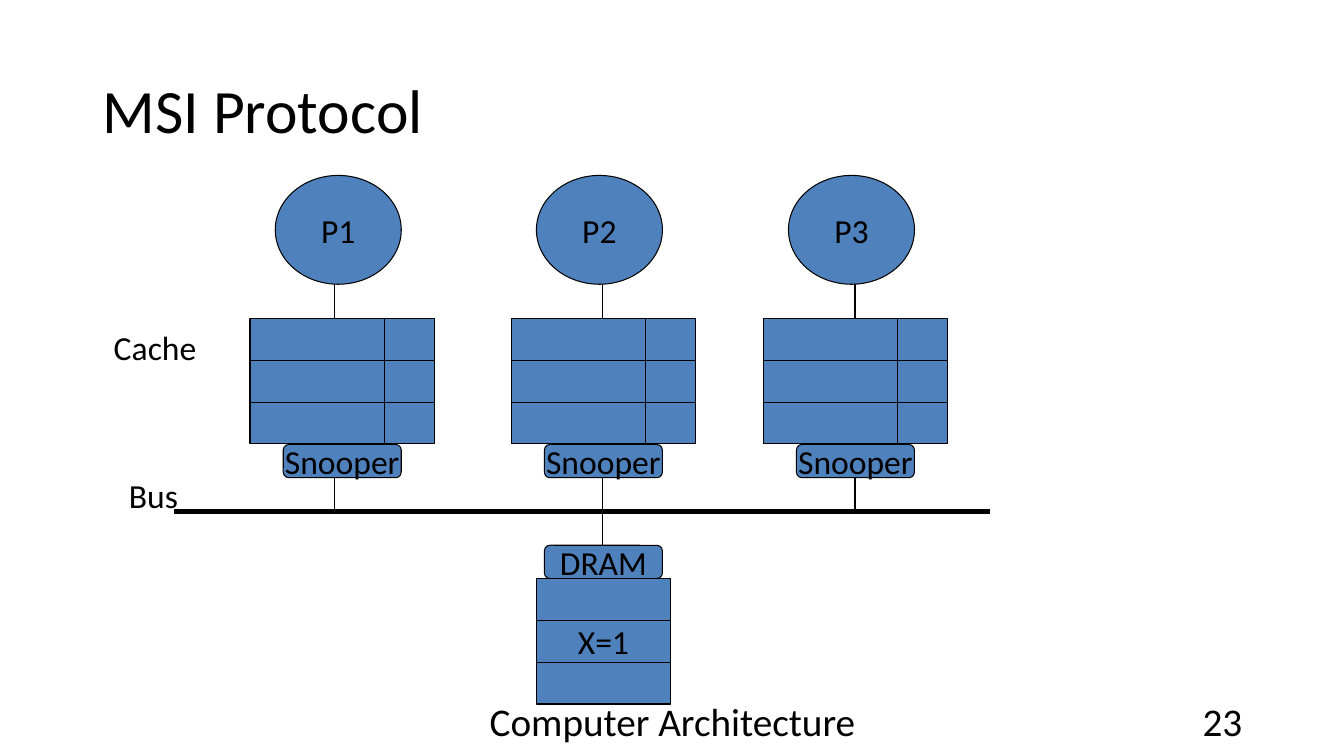
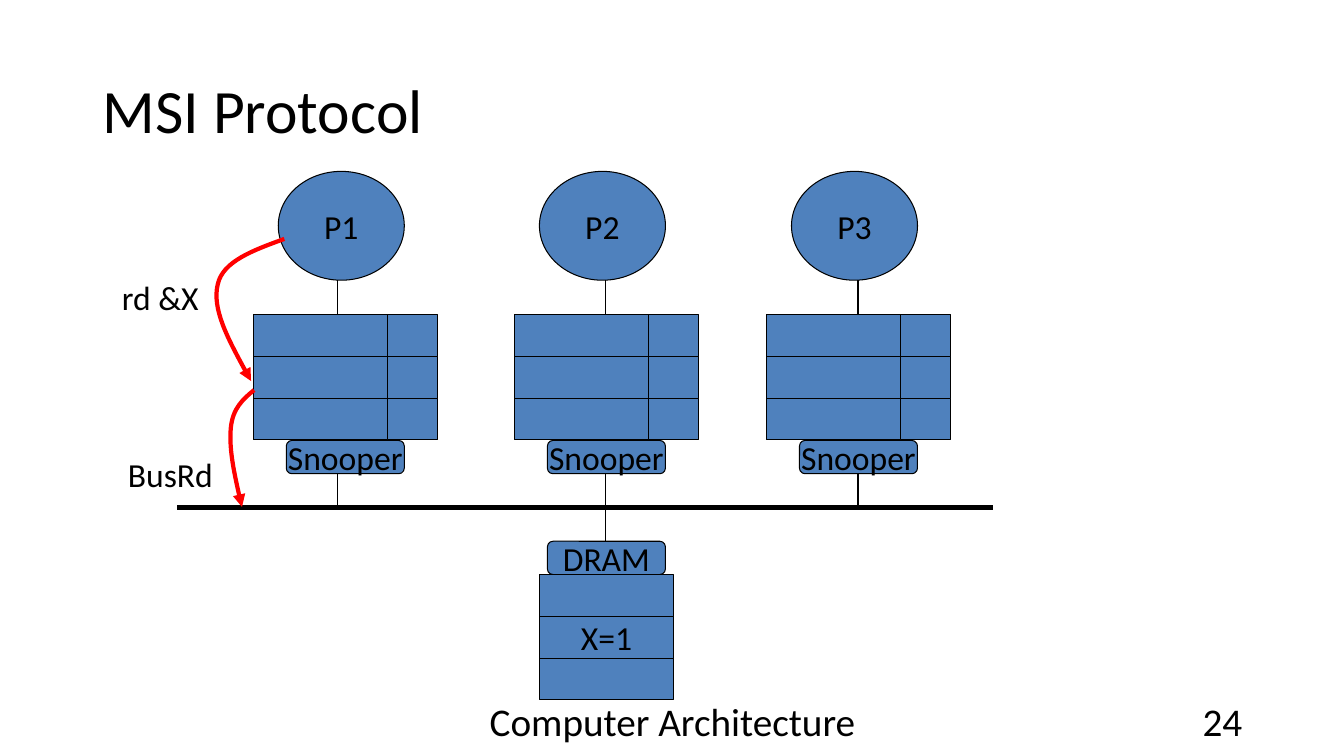
"""Build two slides on the MSI cache coherence protocol."""
from dataclasses import dataclass

from pptx import Presentation
from pptx.dml.color import RGBColor
from pptx.enum.shapes import MSO_CONNECTOR, MSO_SHAPE as Preset
from pptx.enum.text import MSO_ANCHOR as Anchor, MSO_AUTO_SIZE as AutoSize, PP_ALIGN as Align
from pptx.oxml.ns import qn
from pptx.util import Inches, Pt
from lxml.etree import SubElement


@dataclass(frozen=True)
class Theme:
    font: str = "Calibri"
    ink: RGBColor = RGBColor(0, 0, 0)
    block: RGBColor = RGBColor(0x4F, 0x81, 0xBD)
    signal: RGBColor = RGBColor(0xFF, 0, 0)
    title_size: int = 44
    footer_size: int = 28
    label_size: int = 24
    thin: float = 0.74
    signal_width: float = 3
    bus_width: float = 3.26


THEME = Theme()
CORES = (("P1", 2.48, 3.32), ("P2", 5.07, 5.98), ("P3", 7.57, 8.48))
MEMORY_STEM = CORES[1][2]
ROW_HEIGHT = 0.415
DATA_WIDTH = 1.33
STATE_WIDTH = 0.5
CHIP_SIZE = (1.17, 0.33)


def write(frame, text, size=THEME.label_size, align=Align.LEFT, anchor=Anchor.MIDDLE,
          wrap=False, fit=AutoSize.NONE, spacing=None):
    frame.word_wrap = wrap
    frame.auto_size = fit
    frame.vertical_anchor = anchor
    paragraph = frame.paragraphs[0]
    paragraph.alignment = align
    paragraph.line_spacing = spacing
    run = paragraph.add_run()
    run.text = text
    run.font.name = THEME.font
    run.font.size = Pt(size)
    run.font.color.rgb = THEME.ink


def set_line(line, color=THEME.ink, width=THEME.thin):
    line.color.rgb = color
    line.width = Pt(width)


def add_block(slide, preset, left, top, width, height, text=""):
    block = slide.shapes.add_shape(preset, *map(Inches, (left, top, width, height)))
    block.shadow.inherit = False
    block.fill.solid()
    block.fill.fore_color.rgb = THEME.block
    set_line(block.line)
    if text:
        write(block.text_frame, text, align=Align.CENTER)


def add_text(slide, text, left, top, width, height, **text_format):
    box = slide.shapes.add_textbox(*map(Inches, (left, top, width, height)))
    write(box.text_frame, text, **text_format)


def add_label(slide, text, left, top, width):
    add_text(slide, text, left, top, width, 0.5, anchor=Anchor.TOP, fit=AutoSize.SHAPE_TO_FIT_TEXT)


def add_wire(slide, start, end, width=THEME.thin):
    wire = slide.shapes.add_connector(MSO_CONNECTOR.STRAIGHT, *map(Inches, start + end))
    set_line(wire.line, width=width)
    SubElement(wire._element.spPr, qn("a:effectLst"))


def add_signal(slide, start, *curve_points):
    """Draw an arrow through cubic curves, each given by three points."""
    builder = slide.shapes.build_freeform(*map(Inches, start), scale=1.0)
    builder.add_line_segments([tuple(map(Inches, point)) for point in curve_points], close=False)
    arrow = builder.convert_to_shape()
    arrow.shadow.inherit = False
    arrow.fill.background()
    set_line(arrow.line, THEME.signal, THEME.signal_width)
    SubElement(arrow.line._get_or_add_ln(), qn("a:tailEnd"), type="triangle")
    outline = next(arrow._element.iter(qn("a:path")))
    segments = outline.findall(qn("a:lnTo"))
    for first in range(0, len(segments), 3):
        curve = SubElement(outline, qn("a:cubicBezTo"))
        for segment in segments[first:first + 3]:
            curve.append(segment[0])
            outline.remove(segment)


def add_core(slide, name, left, stem, dy):
    add_block(slide, Preset.OVAL, left + 0.25, 1.74 + dy, 1.25, 1.08, name)
    for row in range(3):
        top = 3.16 + dy + row * ROW_HEIGHT
        add_block(slide, Preset.RECTANGLE, left, top, DATA_WIDTH, ROW_HEIGHT)
        add_block(slide, Preset.RECTANGLE, left + DATA_WIDTH, top, STATE_WIDTH, ROW_HEIGHT)
    add_block(slide, Preset.ROUNDED_RECTANGLE, left + 0.33, 4.41 + dy, *CHIP_SIZE, "Snooper")
    for top, bottom in ((2.82, 3.16), (4.74, 5.07)):
        add_wire(slide, (stem, top + dy), (stem, bottom + dy))


def add_memory(slide, dx, dy):
    add_wire(slide, (MEMORY_STEM + dx, 5.07 + dy), (MEMORY_STEM + dx, 5.41 + dy))
    add_block(slide, Preset.ROUNDED_RECTANGLE, 5.4 + dx, 5.41 + dy, *CHIP_SIZE, "DRAM")
    for row, value in enumerate(("", "X=1", "")):
        add_block(slide, Preset.RECTANGLE, 5.32 + dx, 5.74 + dy + row * ROW_HEIGHT,
                  DATA_WIDTH, ROW_HEIGHT, value)


def add_machine(slide, dx=0, dy=0):
    for name, left, stem in CORES:
        add_core(slide, name, left + dx, stem + dx, dy)
    add_wire(slide, (1.73 + dx, 5.075 + dy), (9.82 + dx, 5.075 + dy), THEME.bus_width)
    add_memory(slide, dx, dy)


def add_protocol_slide(deck, number):
    slide = deck.slides.add_slide(deck.slide_layouts[5])
    title = slide.shapes.title
    title.left, title.top, title.width, title.height = map(Inches, (0.92, 0.4, 11.5, 1.45))
    write(title.text_frame, "MSI Protocol", size=THEME.title_size, wrap=True, spacing=0.9)
    add_text(slide, "Computer Architecture", 4.42, 6.95, 4.5, 0.4,
             size=THEME.footer_size, align=Align.CENTER, wrap=True)
    add_text(slide, str(number), 9.42, 6.95, 3, 0.4,
             size=THEME.footer_size, align=Align.RIGHT, wrap=True)
    return slide


def main():
    deck = Presentation()
    deck.slide_width, deck.slide_height = Inches(13.33), Inches(7.5)

    overview = add_protocol_slide(deck, 23)
    add_machine(overview)
    add_label(overview, "Cache", 1.03, 3.19, 1.24)
    add_label(overview, "Bus", 1.18, 4.66, 0.81)

    read_miss = add_protocol_slide(deck, 24)
    add_machine(read_miss, dx=0.03, dy=-0.04)
    add_label(read_miss, "rd &X", 1.11, 2.7, 1.14)
    add_signal(read_miss, (2.82, 2.37), (2.52, 2.48), (2.21, 2.59), (2.16, 2.82),
               (2.1, 3.06), (2.29, 3.42), (2.49, 3.78))
    add_label(read_miss, "BusRd", 1.17, 4.45, 1.25)
    add_signal(read_miss, (2.52, 3.87), (2.41, 3.96), (2.31, 4.05), (2.29, 4.24),
               (2.27, 4.44), (2.33, 4.74), (2.4, 5.03))

    deck.save("out.pptx")


main()
